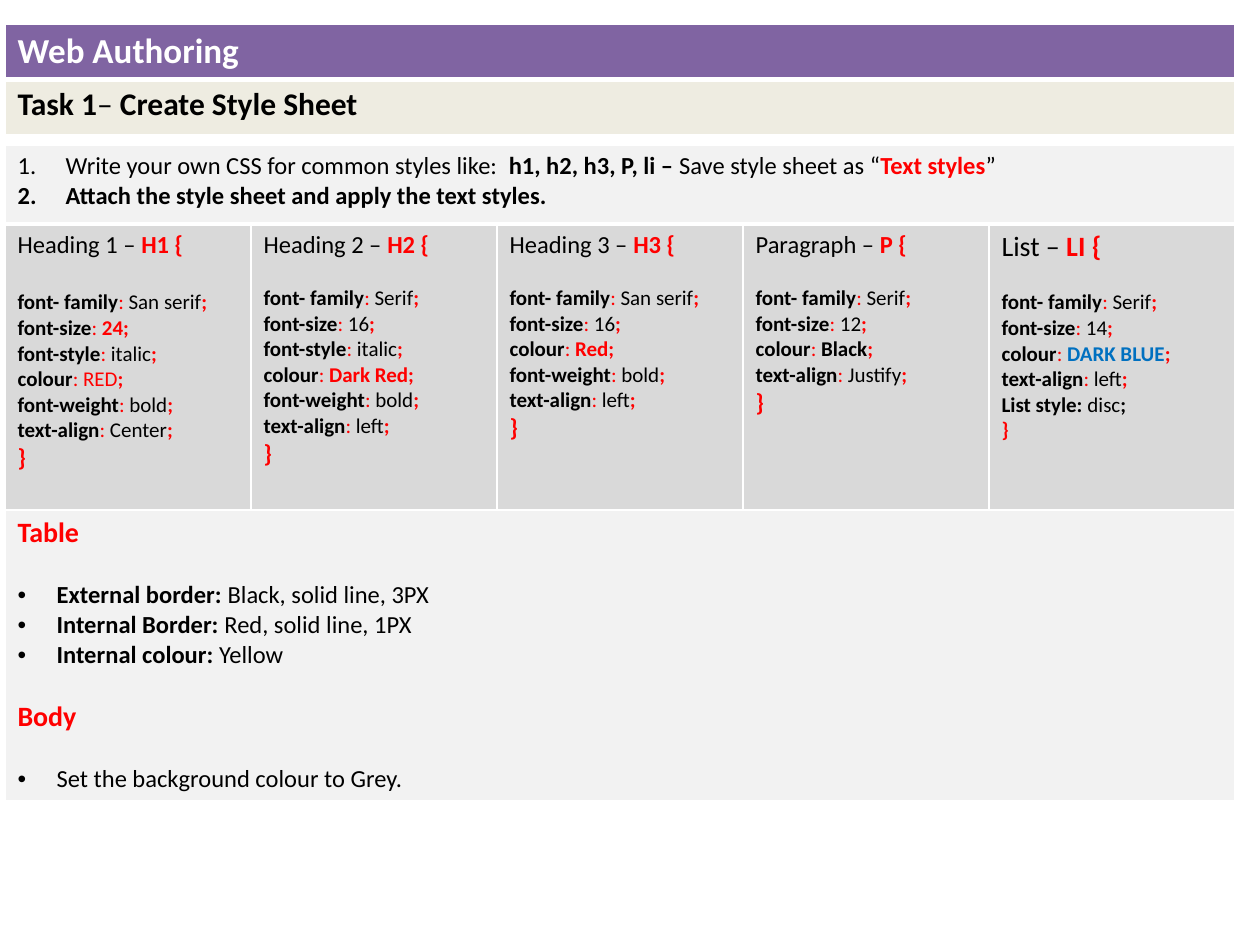
"""Builds the Web Authoring slide on creating a style sheet."""
from lxml.etree import SubElement
from pptx import Presentation
from pptx.dml.color import RGBColor
from pptx.oxml.ns import qn
from pptx.util import Emu, Pt

COLORS = {"white": "FFFFFF", "black": "000000", "red": "FF0000", "blue": "0070C0",
          "purple": "8064A2", "cream": "EEECE1", "light": "F2F2F2", "grey": "D9D9D9"}
PLAIN, BOLD = ("black", False), ("black", True)
RED, RED_BOLD = ("red", False), ("red", True)
BLUE_BOLD, WHITE_BOLD = ("blue", True), ("white", True)
LINE_HEIGHT = 1.22

SERIF = ("font- family", "Serif", PLAIN)
SAN_SERIF = ("font- family", "San serif", PLAIN)
ITALIC = ("font-style", "italic", PLAIN)
WEIGHT = ("font-weight", "bold", PLAIN)
LEFT = ("text-align", "left", PLAIN)
RULES = [
    ("Heading 1", "H1", 14, 14, [
        SAN_SERIF, ("font-size", "24", RED_BOLD), ITALIC, ("colour", "RED", RED), WEIGHT,
        ("text-align", "Center", PLAIN)]),
    ("Heading 2", "H2", 14, 12, [
        SERIF, ("font-size", "16", PLAIN), ITALIC, ("colour", "Dark Red", RED_BOLD), WEIGHT, LEFT]),
    ("Heading 3", "H3", 14, 12, [
        SAN_SERIF, ("font-size", "16", PLAIN), ("colour", "Red", RED_BOLD), WEIGHT, LEFT]),
    ("Paragraph", "P", 14, 12, [
        SERIF, ("font-size", "12", PLAIN), ("colour", "Black", BOLD),
        ("text-align", "Justify", PLAIN)]),
    ("List", "LI", 16, 12, [
        SERIF, ("font-size", "14", PLAIN), ("colour", "DARK BLUE", BLUE_BOLD), LEFT]),
]


def px(n):
    """Turn pixels into EMU."""
    return Emu(round(n * 914400 / 126))


def rgb(name):
    """Look up a named colour."""
    return RGBColor.from_string(COLORS[name])


def para(runs, size=14, gap=0, bullet=None, indent=39):
    """Describe a paragraph; gap is the font size of the line left free above it."""
    return {"runs": runs, "size": size, "gap": gap, "bullet": bullet, "indent": indent}


def add_bullet(p, bullet, indent):
    """Give a paragraph a hanging bullet or an automatic number."""
    pPr = p._p.get_or_add_pPr()
    pPr.set("marL", str(px(indent)))
    pPr.set("indent", str(-px(indent)))
    if bullet == "1.":
        SubElement(pPr, qn("a:buAutoNum"), type="arabicPeriod")
    else:
        SubElement(pPr, qn("a:buFont"), typeface="Arial")
        SubElement(pPr, qn("a:buChar"), char=bullet)


def write(cell, paragraphs):
    """Write paragraphs run by run into a cell."""
    tf = cell.text_frame
    for i, item in enumerate(paragraphs):
        p = tf.add_paragraph() if i else tf.paragraphs[0]
        if item["gap"]:
            p.space_before = Pt(round(item["gap"] * LINE_HEIGHT, 1))
        if item["bullet"]:
            add_bullet(p, item["bullet"], item["indent"])
        for text, (color, bold) in item["runs"]:
            r = p.add_run()
            r.text = text
            r.font.name = "Calibri"
            r.font.size = Pt(item["size"])
            r.font.bold = bold
            r.font.color.rgb = rgb(color)


def paint(cell, fill, top=1, bottom=1):
    """Set the white borders and the fill of a cell."""
    tcPr = cell._tc.get_or_add_tcPr()
    for side, width in (("L", 1), ("R", 1), ("T", top), ("B", bottom)):
        ln = SubElement(tcPr, qn(f"a:ln{side}"), w=str(Pt(width)))
        SubElement(SubElement(ln, qn("a:solidFill")), qn("a:srgbClr"), val=COLORS["white"])
    cell.fill.solid()
    cell.fill.fore_color.rgb = rgb(fill)


def add_grid(slide, top, columns, heights, fills):
    """Add a table whose first row is set off by a thick border."""
    frame = slide.shapes.add_table(len(heights), columns, px(5), px(top), px(1230), px(sum(heights)))
    table = frame.table
    table.first_row = table.horz_banding = False
    for i, (height, fill) in enumerate(zip(heights, fills)):
        table.rows[i].height = px(height)
        for cell in table.rows[i].cells:
            paint(cell, fill, top=3 if i == 1 else 1, bottom=3 if i == 0 else 1)
    return table


def css_rule(label, tag, heading_size, gap, declarations):
    """Describe one style rule as paragraphs."""
    lines = [para([(f"{label} – ", PLAIN), (f"{tag} {{", RED_BOLD)], heading_size)]
    for name, value, style in declarations:
        runs = [(name, BOLD), (":", RED), (f" {value}", style), (";", RED_BOLD)]
        lines.append(para(runs, 12, 0 if lines[1:] else gap))
    if tag == "LI":
        lines.append(para([("List style: ", BOLD), ("disc", PLAIN), (";", BOLD)], 12))
    lines.append(para([("}", RED_BOLD)], 12 if tag == "LI" else 14))
    return lines


def add_titles(slide):
    """Add the two title bars."""
    table = add_grid(slide, 24, 1, [55, 55], ["purple", "cream"])
    write(table.cell(0, 0), [para([("Web Authoring", WHITE_BOLD)], 20)])
    write(table.cell(1, 0), [para(
        [("Task 1", BOLD), ("– ", PLAIN), ("Create Style Sheet", BOLD)], 18)])


def add_task(slide):
    """Add the instructions, the style rules and the table and body settings."""
    table = add_grid(slide, 145, len(RULES), [79, 286, 291], ["light", "grey", "light"])
    for row in (0, 2):
        table.cell(row, 0).merge(table.cell(row, len(RULES) - 1))
    write(table.cell(0, 0), [
        para([("Write your own CSS for common styles like:  ", PLAIN), ("h1, h2, h3, P, li – ", BOLD),
              ("Save style sheet as “", PLAIN), ("Text styles", RED_BOLD), ("”", PLAIN)],
             bullet="1.", indent=48),
        para([("Attach the style sheet and apply the text styles.", BOLD)], bullet="1.", indent=48)])
    for column, rule in enumerate(RULES):
        write(table.cell(1, column), css_rule(*rule))
    settings = [("External border: ", "Black, solid line, 3PX"),
                ("Internal Border: ", "Red, solid line, 1PX"), ("Internal colour: ", "Yellow")]
    write(table.cell(2, 0), [
        para([("Table", RED_BOLD)], 16),
        *[para([(name, BOLD), (value, PLAIN)], gap=0 if i else 14, bullet="•")
          for i, (name, value) in enumerate(settings)],
        para([("Body", RED_BOLD)], 16, gap=14),
        para([("Set the background colour to Grey.", PLAIN)], gap=14, bullet="•")])


def main():
    """Build and save the slide."""
    prs = Presentation()
    prs.slide_width, prs.slide_height = px(1260), px(945)
    slide = prs.slides.add_slide(prs.slide_layouts[6])
    add_titles(slide)
    add_task(slide)
    prs.save("out.pptx")


if __name__ == "__main__":
    main()
